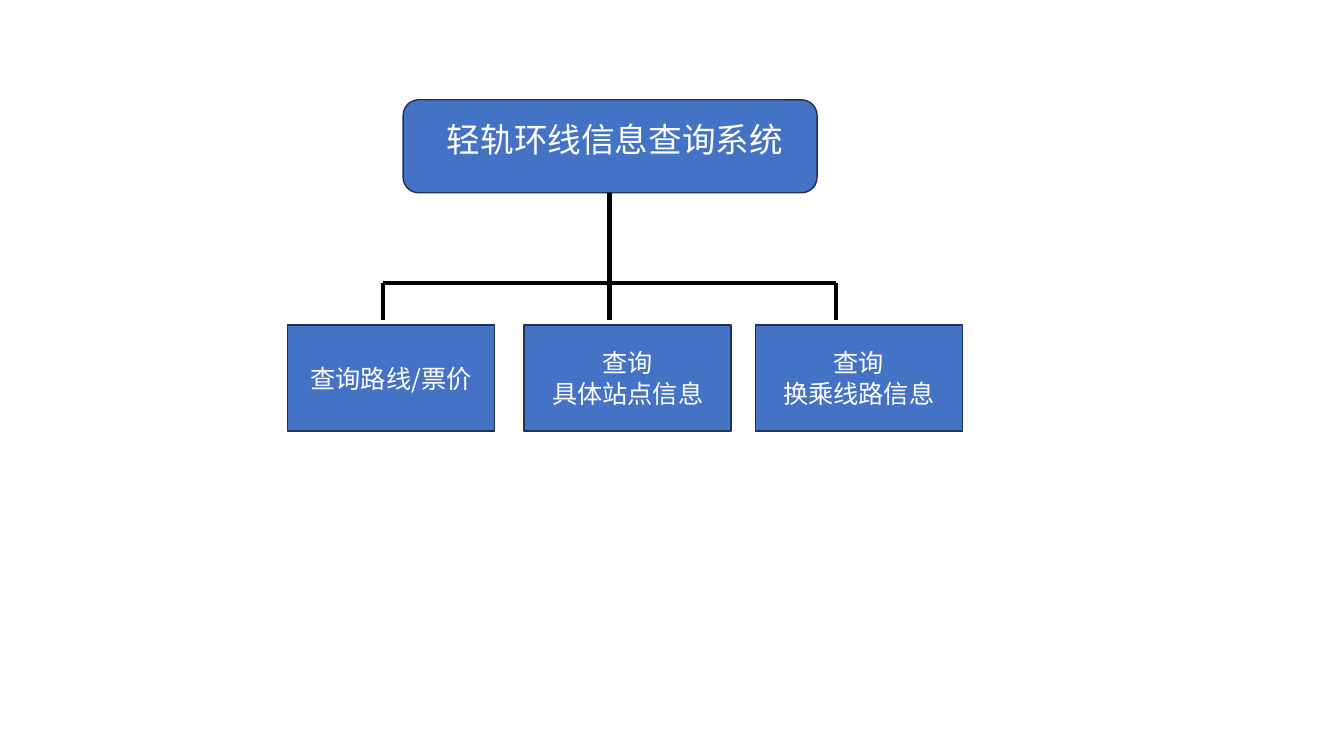
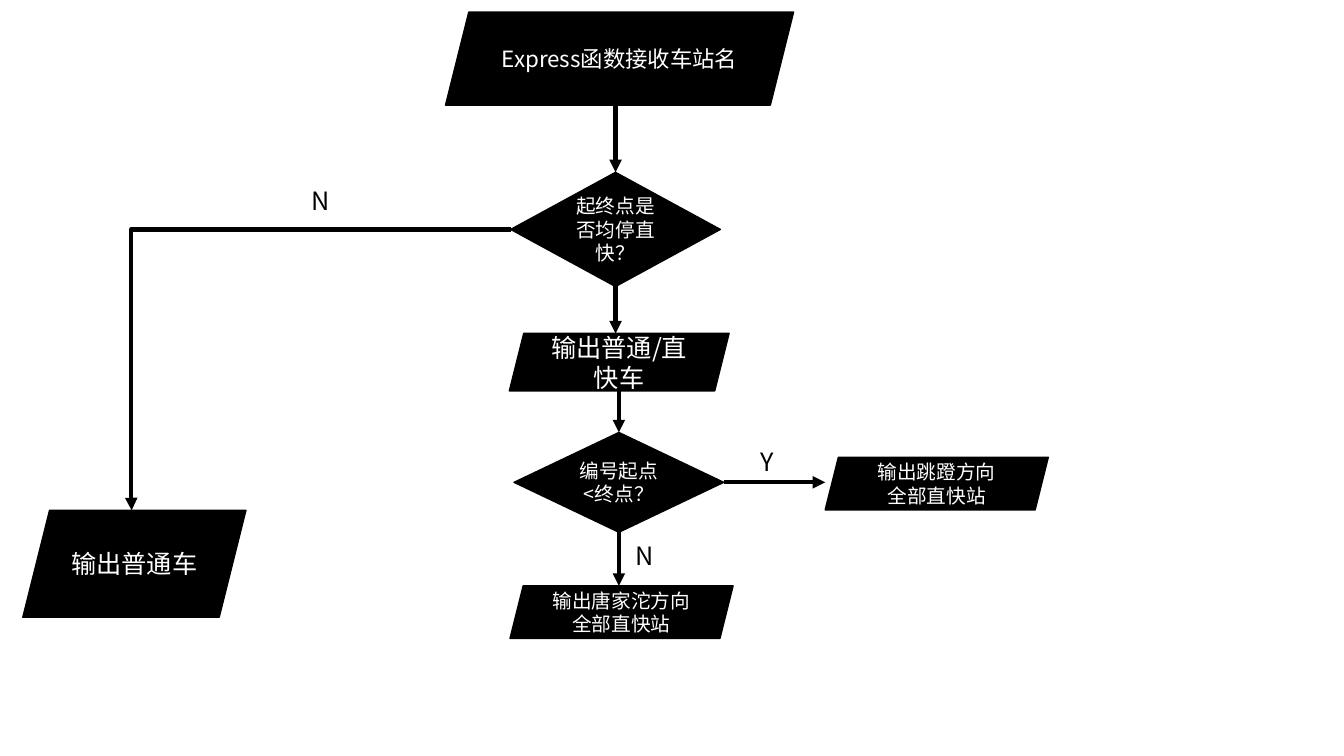
from dataclasses import dataclass

import pptx
import pptx.dml.color
import pptx.enum.shapes
import pptx.enum.text
import pptx.oxml
import pptx.oxml.ns
import pptx.util

SHAPE = pptx.enum.shapes.MSO_SHAPE
CONNECTOR = pptx.enum.shapes.MSO_CONNECTOR
ANCHOR = pptx.enum.text.MSO_ANCHOR
qn = pptx.oxml.ns.qn


@dataclass(frozen=True)
class Theme:
    font: str = "Noto Sans CJK SC"
    blue: str = "4472C4"
    navy: str = "1E3256"
    black: str = "000000"
    white: str = "FFFFFF"
    title: int = 24
    body: int = 18
    medium: int = 16
    small: int = 14
    outline: int = 1
    link: int = 3


@dataclass(frozen=True)
class Box:
    left: float
    top: float
    width: float
    height: float

    @property
    def right(self):
        return self.left + self.width

    @property
    def bottom(self):
        return self.top + self.height

    @property
    def center(self):
        return self.left + self.width / 2

    @property
    def middle(self):
        return self.top + self.height / 2


THEME = Theme()
WIDTH, HEIGHT = pptx.util.Inches(13.33), pptx.util.Inches(7.5)


def rgb(color):
    return pptx.dml.color.RGBColor.from_string(color)


def across(share):
    return round(WIDTH * share / 100)


def down(share):
    return round(HEIGHT * share / 100)


def place(box):
    return across(box.left), down(box.top), across(box.width), down(box.height)


def add_child(parent, tag, **attributes):
    child = pptx.oxml.parse_xml(f"<{tag} {pptx.oxml.ns.nsdecls('a')}/>")
    for name, value in attributes.items():
        child.set(name, value)
    parent.append(child)
    return child


def write(tf, text, size, color):
    tf.word_wrap = True
    tf.text = text
    for p in tf.paragraphs:
        p.alignment = pptx.enum.text.PP_ALIGN.CENTER
        for r in p.runs:
            r.font.size = pptx.util.Pt(size)
            r.font.name = THEME.font
            r.font.color.rgb = rgb(color)
            add_child(r.font._element, "a:ea", typeface=THEME.font)


def add_label(slide, box, text, size, color):
    sp = slide.shapes.add_textbox(*place(box))
    write(sp.text_frame, text, size, color)


def add_box(slide, kind, box, fill, line, text="", size=THEME.body):
    sp = slide.shapes.add_shape(kind, *place(box))
    sp.shadow.inherit = False
    sp.fill.solid()
    sp.fill.fore_color.rgb = rgb(fill)
    sp.line.color.rgb = rgb(line)
    sp.line.width = pptx.util.Pt(THEME.outline)
    if text:
        sp.text_frame.vertical_anchor = ANCHOR.MIDDLE
        write(sp.text_frame, text, size, THEME.white)


def add_link(slide, x1, y1, x2, y2, arrow=False, kind=CONNECTOR.STRAIGHT):
    cxn = slide.shapes.add_connector(kind, across(x1), down(y1), across(x2), down(y2))
    cxn.line.color.rgb = rgb(THEME.black)
    cxn.line.width = pptx.util.Pt(THEME.link)
    sp_pr = cxn._element.spPr
    if arrow:
        add_child(sp_pr.find(qn("a:ln")), "a:tailEnd", type="triangle")
    add_child(sp_pr, "a:effectLst")
    return cxn


def add_corner_arrow(slide, x1, y1, x2, y2):
    cxn = add_link(slide, x1, y1, x2, y2, True, CONNECTOR.ELBOW)
    guides = cxn._element.spPr.find(qn("a:prstGeom")).get_or_add_avLst()
    add_child(guides, "a:gd", name="adj1", fmla="val 100100")


def build_structure(slide):
    root = Box(30, 13.2, 30.8, 12.3)
    add_box(slide, SHAPE.ROUNDED_RECTANGLE, root, THEME.blue, THEME.navy)
    add_label(slide, Box(32.4, 15.1, 26.7, 6.7), "轻轨环线信息查询系统",
              THEME.title, THEME.white)

    bus, drop_end = 37.4, 42.3
    drops = [28.5 + 16.85 * i for i in range(3)]
    add_link(slide, drops[1], root.bottom, drops[1], bus)
    add_link(slide, drops[0], bus, drops[-1], bus)
    for x in drops:
        add_link(slide, x, bus, x, drop_end)

    modules = [(21.4, "查询路线/票价"),
               (39, "查询\n具体站点信息"),
               (56.2, "查询\n换乘线路信息")]
    for left, text in modules:
        add_box(slide, SHAPE.RECTANGLE, Box(left, 43, 15.4, 14),
                THEME.blue, THEME.navy, text)


def build_flow(slide):
    data, decision = SHAPE.PARALLELOGRAM, SHAPE.DIAMOND
    receive = Box(33.15, 1.6, 25.9, 12.3)
    both_express = Box(38, 22.8, 15.6, 15.1)
    either_train = Box(37.9, 44.1, 16.35, 7.6)
    start_first = Box(38.25, 57.2, 15.6, 13.2)
    one_way = Box(37.95, 77.5, 16.6, 6.95)
    other_way = Box(61.4, 60.5, 16.6, 6.95)
    ordinary = Box(1.7, 67.5, 16.6, 14.15)

    nodes = [(data, receive, "Express函数接收车站名", THEME.medium),
             (decision, both_express, "起终点是否均停直快？", THEME.small),
             (data, ordinary, "输出普通车", THEME.body),
             (data, either_train, "输出普通/直快车", THEME.body),
             (decision, start_first, "编号起点<终点？", THEME.small),
             (data, one_way, "输出唐家沱方向全部直快站", THEME.small),
             (data, other_way, "输出跳蹬方向\n全部直快站", THEME.small)]
    for kind, box, text, size in nodes:
        add_box(slide, kind, box, THEME.black, THEME.black, text, size)

    steps = [(receive, both_express, both_express.center),
             (both_express, either_train, both_express.center),
             (either_train, start_first, start_first.center),
             (start_first, one_way, start_first.center)]
    for upper, lower, x in steps:
        add_link(slide, x, upper.bottom, x, lower.top, True)
    add_link(slide, start_first.right, start_first.middle,
             other_way.left, start_first.middle, True)
    add_corner_arrow(slide, both_express.left, both_express.middle,
                     9.8, ordinary.top)

    for text, left, top in [("N", 18.9, 23.9), ("N", 43.05, 70.8), ("Y", 52.1, 58.4)]:
        add_label(slide, Box(left, top, 9.9, 5.3), text, THEME.body, THEME.black)


def main():
    prs = pptx.Presentation()
    prs.slide_width, prs.slide_height = WIDTH, HEIGHT
    for build in (build_structure, build_flow):
        build(prs.slides.add_slide(prs.slide_layouts[6]))
    prs.save("out.pptx")


if __name__ == "__main__":
    main()
